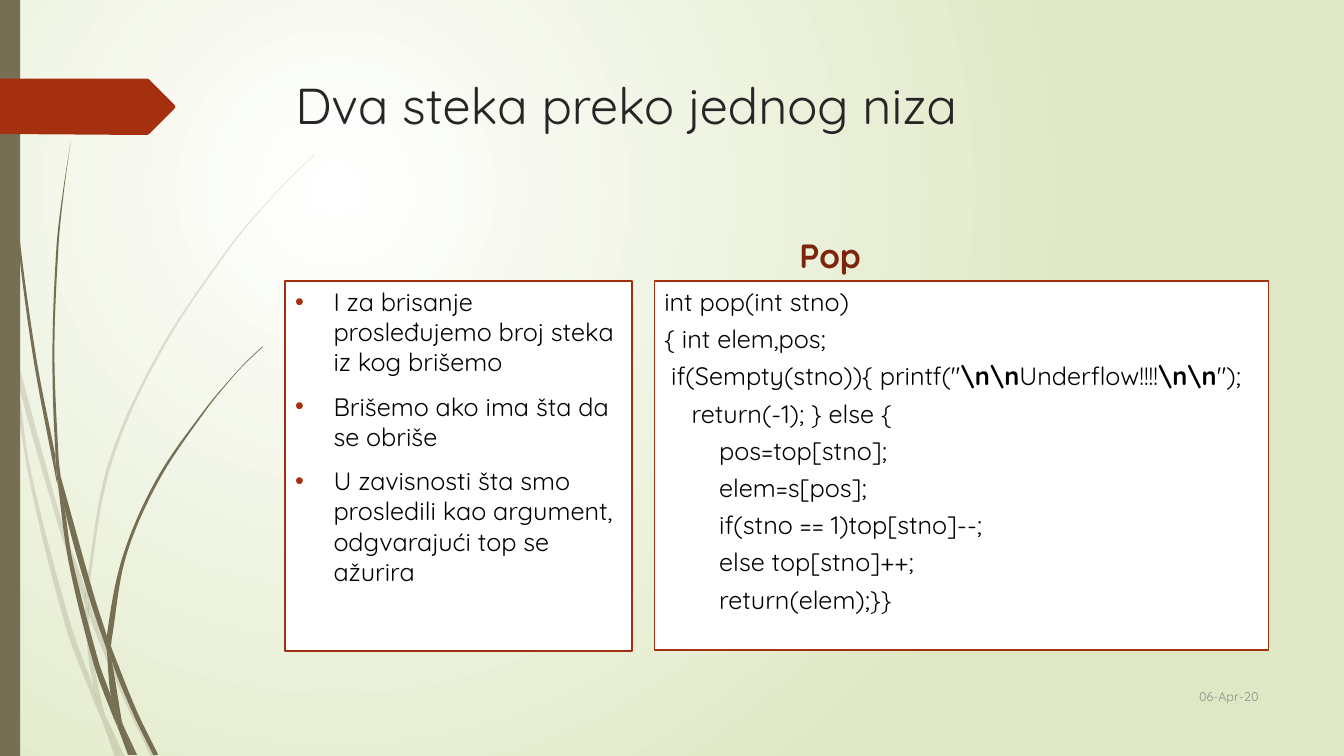
import math

from lxml import etree
from pptx import Presentation
from pptx.dml.color import RGBColor
from pptx.enum.shapes import MSO_SHAPE
from pptx.enum.text import MSO_ANCHOR, PP_ALIGN
from pptx.oxml.ns import qn
from pptx.util import Inches, Pt

RECTANGLE = MSO_SHAPE.RECTANGLE
TOP, MIDDLE, BOTTOM = MSO_ANCHOR.TOP, MSO_ANCHOR.MIDDLE, MSO_ANCHOR.BOTTOM
LEFT, RIGHT = PP_ALIGN.LEFT, PP_ALIGN.RIGHT

FONT = "Quicksand"
OLIVE, RUST, WHITE, BLACK = "766F54", "A53010", "FFFFFF", "000000"

# Grass leaves: one edge and the other, both from tip to root, in inches
PALE_LEAVES = [
    ([(0, 2.99), (0.1, 3.44), (0.11, 3.5)], [(0, 2.82), (0.09, 3.22), (0.11, 3.5)]),
    ([(0.14, 3.45), (0.17, 3.76), (0.58, 5.22), (0.84, 5.99)],
     [(0.14, 3.45), (0.62, 5.2), (0.85, 5.86), (0.84, 5.99)]),
    ([(0.88, 5.96), (0.88, 6.1), (1.23, 6.94), (1.5, 7.51)],
     [(0.88, 5.96), (0.92, 6.07), (1.27, 6.92), (1.55, 7.51)]),
    ([(1.05, 7.11), (1.19, 7.51)], [(1.05, 7.11), (1.24, 7.51)]),
    ([(0.11, 3.5), (0.28, 4.7), (0.65, 6.21), (0.92, 6.93), (1.01, 7.14)],
     [(0.11, 3.5), (0.17, 3.76), (0.31, 4.69), (0.7, 6.19), (0.93, 6.83),
      (0.99, 7.07), (1.01, 7.14)]),
    ([(0.84, 5.99), (0.87, 6.46), (0.93, 6.83), (0.96, 6.92), (1.05, 7.11)],
     [(0.84, 5.99), (0.88, 6.08), (0.88, 6.1), (0.91, 6.46), (1.03, 7.06),
      (1.05, 7.11)]),
    ([(3.12, 1.53), (2.89, 1.75), (2.68, 1.97), (2.28, 2.44), (1.58, 3.48),
      (1.07, 4.61), (0.85, 5.84), (0.85, 5.86), (0.88, 5.96)],
     [(3.12, 1.54), (2.9, 1.75), (2.68, 1.98), (2.29, 2.45), (1.6, 3.49),
      (1.1, 4.62), (0.88, 5.84), (0.88, 5.96)]),
    ([(1.01, 7.14), (1.14, 7.51)], [(1.01, 7.14), (1.19, 7.51)]),
    ([(0.85, 5.86), (0.84, 5.99), (0.88, 6.08)],
     [(0.85, 5.86), (0.88, 5.96), (0.88, 6.1), (0.88, 6.08)]),
    ([(0.93, 6.83), (0.99, 7.07), (1.01, 7.14), (1.19, 7.51)],
     [(0.93, 6.83), (0.96, 6.92), (1.05, 7.11), (1.19, 7.51)]),
]
DARK_LEAVES = [
    ([(0.03, 0), (0.04, 0.48), (0.07, 1.1), (0.17, 2.33), (0.33, 3.55),
      (0.56, 4.77), (0.57, 4.81)],
     [(0.04, 0), (0.05, 0.48), (0.08, 1.09), (0.19, 2.32), (0.36, 3.55),
      (0.55, 4.53), (0.55, 4.57), (0.57, 4.81)]),
    ([(0.6, 4.72), (0.64, 5.05), (0.88, 5.92), (1.06, 6.45)],
     [(0.6, 4.72), (0.93, 5.9), (1.06, 6.31), (1.06, 6.33), (1.06, 6.45)]),
    ([(1.1, 6.41), (1.11, 6.56), (1.32, 7.08), (1.52, 7.49)],
     [(1.1, 6.41), (1.13, 6.49), (1.36, 7.06), (1.57, 7.49)]),
    ([(0.57, 4.77), (0.68, 5.57), (0.93, 6.59), (1.11, 7.08), (1.17, 7.22)],
     [(0.57, 4.77), (0.64, 5.05), (0.72, 5.56), (0.98, 6.57), (1.1, 6.91),
      (1.16, 7.17), (1.17, 7.22)]),
    ([(0.7, 1.41), (0.62, 1.93), (0.56, 2.45), (0.52, 3.49), (0.55, 4.49), (0.6, 4.72)],
     [(0.7, 1.41), (0.63, 1.93), (0.58, 2.45), (0.54, 3.49), (0.58, 4.53), (0.6, 4.72)]),
    ([(1.22, 7.19), (1.33, 7.49)], [(1.22, 7.19), (1.36, 7.49)]),
    ([(0.55, 4.49), (0.55, 4.53), (0.57, 4.77), (0.64, 5.05)],
     [(0.55, 4.49), (0.6, 4.72), (0.64, 5.05)]),
    ([(2.6, 3.44), (2.45, 3.58), (2.31, 3.73), (2.04, 4.05), (1.56, 4.74),
      (1.22, 5.51), (1.06, 6.31), (1.1, 6.41)],
     [(2.61, 3.44), (2.45, 3.59), (2.31, 3.74), (2.05, 4.06), (1.58, 4.76),
      (1.25, 5.52), (1.11, 6.33), (1.1, 6.41)]),
    ([(1.17, 7.22), (1.27, 7.49)], [(1.17, 7.22), (1.31, 7.49)]),
    ([(1.06, 6.45), (1.1, 6.91), (1.16, 7.06), (1.22, 7.19)],
     [(1.06, 6.45), (1.09, 6.51), (1.11, 6.56), (1.21, 7.16), (1.22, 7.19)]),
    ([(1.06, 6.31), (1.06, 6.45), (1.09, 6.51), (1.11, 6.56)],
     [(1.06, 6.31), (1.1, 6.41), (1.11, 6.56)]),
    ([(1.1, 6.91), (1.16, 7.17), (1.17, 7.22), (1.3, 7.49)],
     [(1.1, 6.91), (1.16, 7.06), (1.22, 7.19), (1.33, 7.49)]),
]
ARROW_TAB = [(0, 0.78), (1.46, 0.78), (1.48, 0.79), (1.73, 1.04), (1.74, 1.06),
             (1.73, 1.08), (1.48, 1.33), (1.46, 1.34), (0, 1.33)]

REMARKS = [
    "I za brisanje prosleđujemo broj steka iz kog brišemo",
    "Brišemo ako ima šta da se obriše",
    "U zavisnosti šta smo prosledili kao argument, odgvarajući top se ažurira",
]
# Code lines as lists of runs; every second run is bold
POP_CODE = [
    ["int pop(int stno)"],
    ["{ int elem,pos;"],
    [' if(Sempty(stno)){ printf("', r"\n\n", "Underflow!!!!", r"\n\n", '");'],
    ["    return(-1); } else {"],
    ["        pos=top[stno];"],
    ["        elem=s[pos];"],
    ["        if(stno == 1)top[stno]--;"],
    ["        else top[stno]++;"],
    ["        return(elem);}}"],
]


def color(hex_code):
    return RGBColor.from_string(hex_code)


def paint(shape, fill, alpha=None):
    shape.shadow.inherit = False
    shape.fill.solid()
    shape.fill.fore_color.rgb = color(fill)
    shape.line.fill.background()
    if alpha is not None:
        srgb = shape.fill._xPr.find(qn("a:solidFill")).find(qn("a:srgbClr"))
        etree.SubElement(srgb, qn("a:alpha"), val=str(alpha * 1000))


def set_background(slide):
    fill = slide.background.fill
    fill.gradient()
    for stop, hex_code, position in zip(fill.gradient_stops, (WHITE, "DFE8C4"), (0, 1)):
        stop.color.rgb = color(hex_code)
        stop.position = position
    gradient = fill._xPr.find(qn("a:gradFill"))
    radial = etree.Element(qn("a:path"), path="circle")
    etree.SubElement(radial, qn("a:fillToRect"), l="50000", t="50000",
                     r="100000", b="100000")
    gradient.replace(gradient.find(qn("a:lin")), radial)


def bezier(points):
    """Two control points and an end point for each step along the points."""
    lengths = [math.dist(a, b) for a, b in zip(points, points[1:])]
    slopes = []
    for i in range(len(points)):
        before, after = max(i - 1, 0), min(i + 1, len(points) - 1)
        span = sum(lengths[before:after])
        slopes.append([(q - p) / span for p, q in zip(points[before], points[after])])
    curve = []
    for i, length in enumerate(lengths):
        start, end = points[i], points[i + 1]
        curve += [tuple(p + s * length / 3 for p, s in zip(start, slopes[i])),
                  tuple(p - s * length / 3 for p, s in zip(end, slopes[i + 1])), end]
    return curve


def add_outline(slide, points, fill, alpha=None):
    corners = [(Inches(x), Inches(y)) for x, y in points]
    builder = slide.shapes.build_freeform(*corners[0])
    builder.add_line_segments(corners[1:])
    outline = builder.convert_to_shape()
    paint(outline, fill, alpha)
    return outline


def add_leaf(slide, edge, other_edge, alpha=None):
    points = edge[:1] + bezier(edge)
    if edge[-1] != other_edge[-1]:
        points += bezier([edge[-1], other_edge[-1]])
    points += bezier(other_edge[::-1])
    leaf = add_outline(slide, points, OLIVE, alpha)
    # Turn every three line steps into one curve
    steps = list(leaf._element.iter(qn("a:lnTo")))
    for first, second, third in zip(steps[::3], steps[1::3], steps[2::3]):
        curve = etree.Element(qn("a:cubicBezTo"))
        first.addprevious(curve)
        for step in (first, second, third):
            curve.append(step[0])
            step.getparent().remove(step)


def add_bullet(paragraph):
    properties = paragraph._p.get_or_add_pPr()
    properties.set("marL", str(Inches(0.38)))
    properties.set("indent", str(Inches(-0.38)))
    bullet_color = etree.SubElement(properties, qn("a:buClr"))
    etree.SubElement(bullet_color, qn("a:srgbClr"), val=RUST)
    etree.SubElement(properties, qn("a:buFont"), typeface="Arial")
    etree.SubElement(properties, qn("a:buChar"), char="•")


def add_text(slide, box, lines, size, hex_code, anchor=TOP, align=LEFT,
             bold=False, gap=0, bullets=False, framed=False):
    lengths = [Inches(length) for length in box]
    if framed:
        area = slide.shapes.add_shape(RECTANGLE, *lengths)
        paint(area, WHITE)
        area.line.color.rgb = color(RUST)
        area.line.width = Pt(1.25)
    else:
        area = slide.shapes.add_textbox(*lengths)
    frame = area.text_frame
    frame.word_wrap = True
    frame.vertical_anchor = anchor
    for i, pieces in enumerate(lines):
        paragraph = frame.add_paragraph() if i else frame.paragraphs[0]
        if bullets:
            add_bullet(paragraph)
        paragraph.alignment = align
        if i:
            paragraph.space_before = Pt(gap)
        for j, piece in enumerate(pieces):
            run = paragraph.add_run()
            run.text = piece
            run.font.name = FONT
            run.font.size = Pt(size)
            run.font.bold = bold or j % 2 == 1
            run.font.color.rgb = color(hex_code)


def main():
    prs = Presentation()
    prs.slide_width, prs.slide_height = Inches(13.33), Inches(7.5)
    slide = prs.slides.add_slide(prs.slide_layouts[6])

    # Backdrop: gradient, grass, side bar and arrow tab
    set_background(slide)
    for leaves, alpha in ((PALE_LEAVES, 20), (DARK_LEAVES, None)):
        for edge, other_edge in leaves:
            add_leaf(slide, edge, other_edge, alpha)
    side_bar = slide.shapes.add_shape(RECTANGLE, 0, 0, Inches(0.2), Inches(7.5))
    paint(side_bar, OLIVE)
    add_outline(slide, ARROW_TAB, RUST)

    # Title, remarks, code of pop, date
    add_text(slide, (2.83, 0.69, 9.75, 1.4), [["Dva steka preko jednog niza"]], 36, "262626")
    add_text(slide, (2.83, 2.79, 3.44, 3.67), [[remark] for remark in REMARKS],
             18, BLACK, gap=10, bullets=True, framed=True)
    add_text(slide, (7.83, 2.15, 4.75, 0.63), [["Pop"]], 24, "7C240C", BOTTOM, bold=True)
    add_text(slide, (6.49, 2.79, 6.09, 3.66), POP_CODE, 18, BLACK, gap=5, framed=True)
    add_text(slide, (11.33, 6.7, 1.25, 0.41), [["06-Apr-20"]], 9, "8C8C8C", MIDDLE, RIGHT)

    prs.save("out.pptx")


if __name__ == "__main__":
    main()
